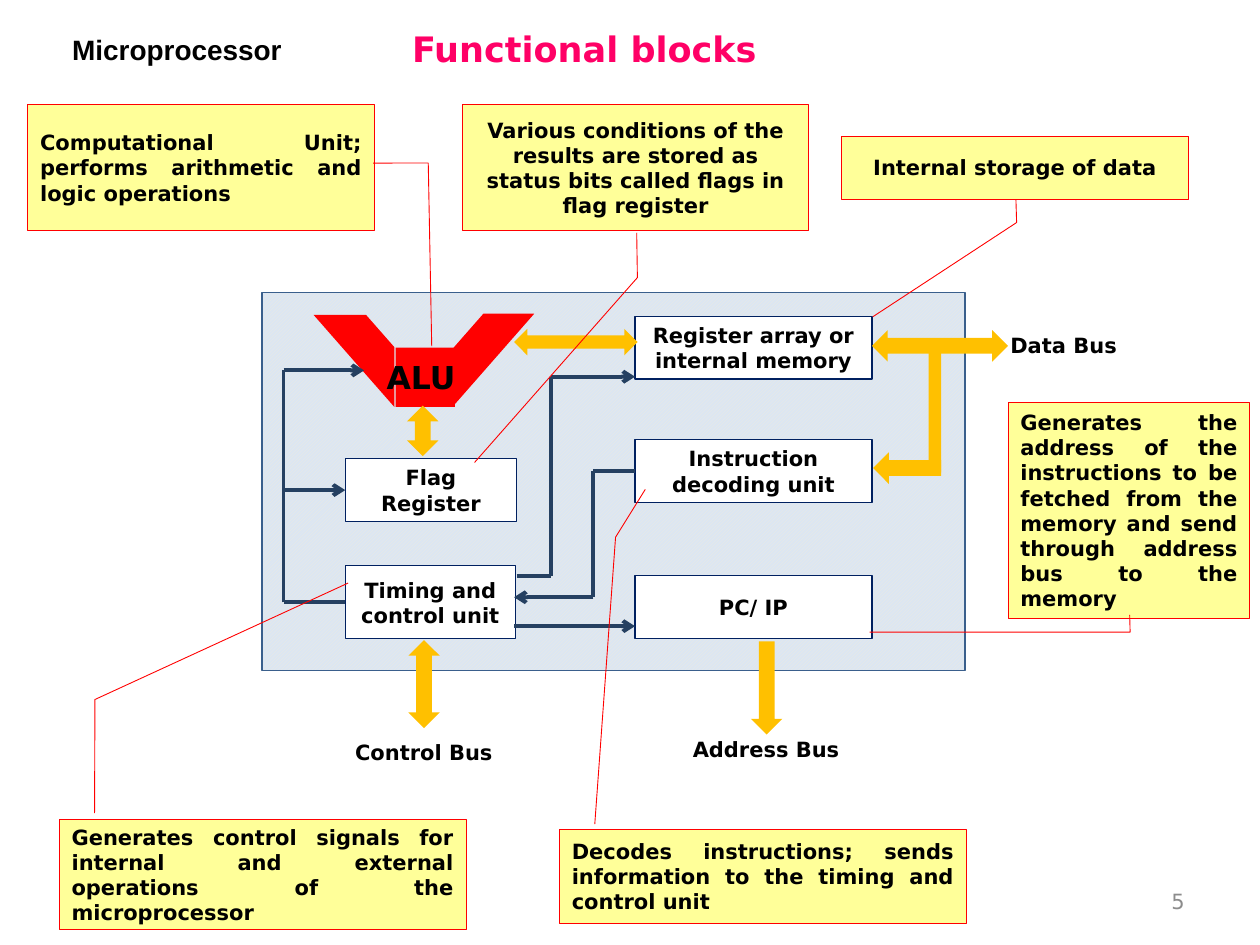
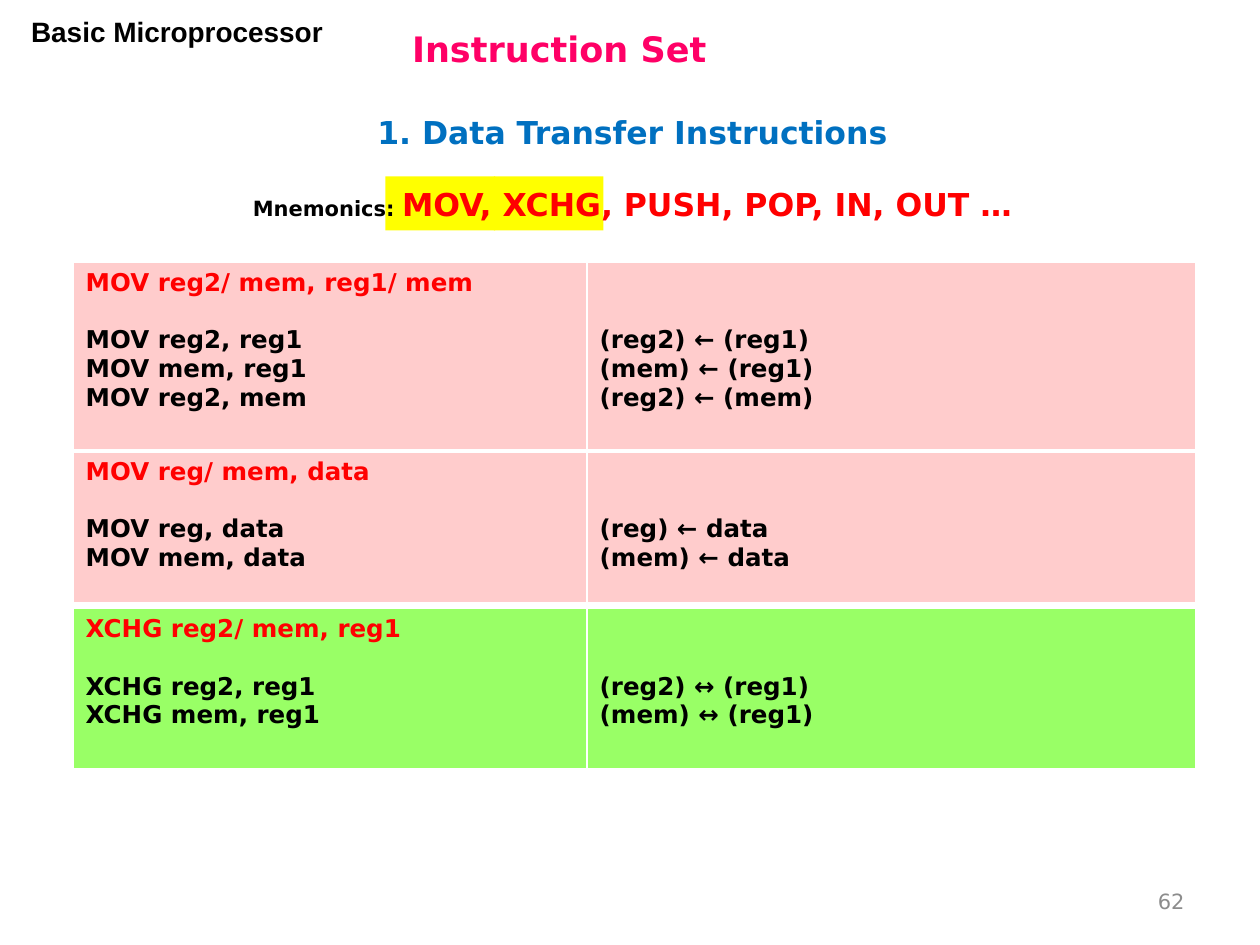
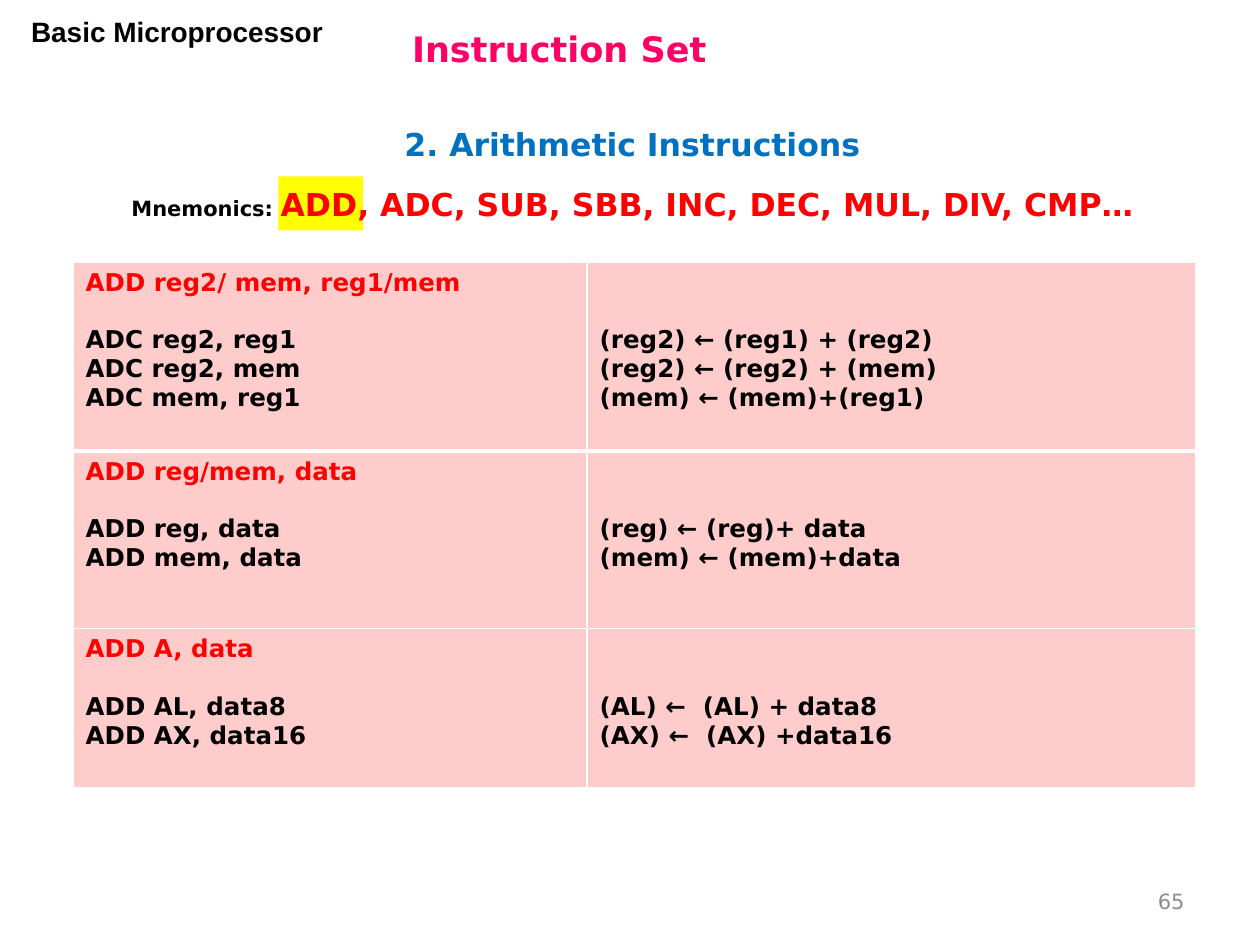
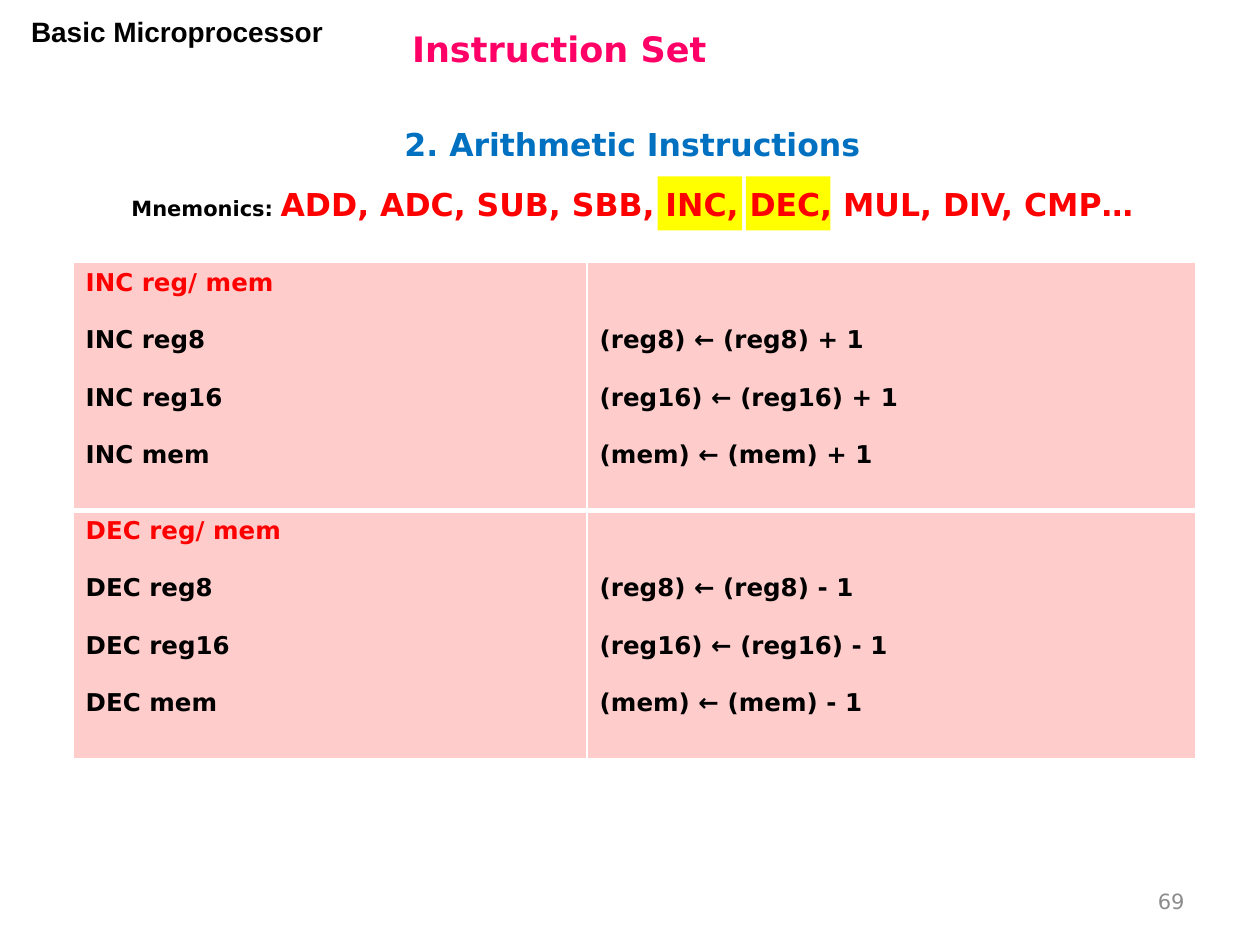
from lxml import etree
from pptx import Presentation, util as u
from pptx.dml.color import RGBColor
from pptx.enum import dml, shapes, text
from pptx.oxml.ns import qn

COLORS = {
    "pink": "FF0066", "blue": "0070C0", "red": "FF0000", "black": "000000",
    "grey": "8C8C8C", "white": "FFFFFF", "navy": "002060", "steel": "254061",
    "frame": "3A5F8C", "ice": "DCE6F2", "sand": "EEECE1", "amber": "FFC000",
    "yellow": "FFFF00", "note": "FFFF99", "rose": "FFCCCC", "lime": "99FF66",
}
RGB = {name: RGBColor.from_string(value) for name, value in COLORS.items()}
SANS = "DejaVu Sans"
STYLES = {
    "title": {"name": SANS, "size": u.Pt(20), "bold": True, "color": "pink"},
    "topic": {"name": "Arial", "size": u.Pt(16), "bold": True, "color": "black"},
    "section": {"name": SANS, "size": u.Pt(18), "bold": True, "color": "blue"},
    "label": {"name": SANS, "size": u.Pt(12), "bold": True, "color": "black"},
    "alu": {"name": SANS, "size": u.Pt(18), "bold": True, "color": "black"},
    "mnemonic": {"name": SANS, "size": u.Pt(18), "bold": True, "color": "red"},
    "syntax": {"name": SANS, "size": u.Pt(14), "bold": True, "color": "red"},
    "code": {"name": SANS, "size": u.Pt(14), "bold": True, "color": "black"},
    "number": {"name": SANS, "size": u.Pt(12), "bold": False, "color": "grey"},
}
SHAPE = shapes.MSO_SHAPE
ALIGN = text.PP_ALIGN
ANCHOR = text.MSO_ANCHOR
LINE_GAP = u.Pt(16.4)  # one empty line of 14 point text


def add_run(paragraph, words, style):
    """Add a run and set its font from a style."""
    run = paragraph.add_run()
    run.text = words
    for name, value in STYLES[style].items():
        if name == "color":
            run.font.color.rgb = RGB[value]
        else:
            setattr(run.font, name, value)


def add_box(parent, kind, box, fill=None, line=None, width=0.75, runs=(),
            align=ALIGN.CENTER, anchor=ANCHOR.MIDDLE, wrap=True):
    """Add a preset shape, or a text box when kind is None."""
    lengths = [u.Inches(value) for value in box]
    if kind is None:
        shape = parent.add_textbox(*lengths)
    else:
        shape = parent.add_shape(kind, *lengths)
        shape.shadow.inherit = False
        shape.fill.solid()
        shape.fill.fore_color.rgb = RGB[fill]
        if line:
            shape.line.color.rgb = RGB[line]
            shape.line.width = u.Pt(width)
        else:
            shape.line.fill.background()
    if runs:
        frame = shape.text_frame
        frame.word_wrap = wrap
        frame.vertical_anchor = anchor
        frame.paragraphs[0].alignment = align
        for words, style in runs:
            add_run(frame.paragraphs[0], words, style)
    return shape


presentation = Presentation()
presentation.slide_width = u.Inches(10)
presentation.slide_height = u.Inches(7.5)

# Content of the instruction slides
ARITHMETIC = "ADD, ADC, SUB, SBB, INC, DEC, MUL, DIV, CMP…"
INSTRUCTION_SLIDES = [
    {
        "number": "62", "section": "1. Data Transfer Instructions", "section_top": 0.83,
        "mnemonics": "MOV, XCHG, PUSH, POP, IN, OUT …",
        "highlights": [(3.92, 0.87), (3.06, 0.87)], "spread": False,
        "tables": [
            (2.08, "rose", [
                (1.5, "MOV reg2/ mem, reg1/ mem", [
                    ("MOV reg2, reg1", "(reg2) ← (reg1)"),
                    ("MOV mem, reg1", "(mem) ← (reg1)"),
                    ("MOV reg2, mem", "(reg2) ← (mem)")]),
                (1.2, "MOV reg/ mem, data", [
                    ("MOV reg, data", "(reg) ← data"),
                    ("MOV mem, data", "(mem) ← data")])]),
            (4.83, "lime", [
                (1.28, "XCHG reg2/ mem, reg1", [
                    ("XCHG reg2, reg1", "(reg2) ↔ (reg1)"),
                    ("XCHG mem, reg1", "(mem) ↔ (reg1)")])]),
        ],
    },
    {
        "number": "65", "section": "2. Arithmetic Instructions", "section_top": 0.93,
        "mnemonics": ARITHMETIC, "highlights": [(2.21, 0.67)], "spread": False,
        "tables": [
            (2.08, "rose", [
                (1.5, "ADD reg2/ mem, reg1/mem", [
                    ("ADC reg2, reg1", "(reg2) ← (reg1) + (reg2)"),
                    ("ADC reg2, mem", "(reg2) ← (reg2) + (mem)"),
                    ("ADC mem, reg1", "(mem) ← (mem)+(reg1)")]),
                (1.41, "ADD reg/mem, data", [
                    ("ADD reg, data", "(reg) ← (reg)+ data"),
                    ("ADD mem, data", "(mem) ← (mem)+data")]),
                (1.26, "ADD A, data", [
                    ("ADD AL, data8", "(AL) ←  (AL) + data8"),
                    ("ADD AX, data16", "(AX) ←  (AX) +data16")])]),
        ],
    },
    {
        "number": "69", "section": "2. Arithmetic Instructions", "section_top": 0.93,
        "mnemonics": ARITHMETIC, "highlights": [(5.92, 0.67), (5.22, 0.67)], "spread": True,
        "tables": [
            (2.08, "rose", [
                (1.97, f"{name} reg/ mem", [
                    (f"{name} {operand}", f"({operand}) ← ({operand}) {sign} 1")
                    for operand in ("reg8", "reg16", "mem")])
                for name, sign in (("INC", "+"), ("DEC", "-"))]),
        ],
    },
]

# Shared header and slide number
HEADERS = [("Functional blocks", "Microprocessor", 0.21, "5")]
HEADERS += [("Instruction Set", "Basic Microprocessor", 0.07, content["number"])
            for content in INSTRUCTION_SLIDES]
for heading, topic, topic_top, number in HEADERS:
    slide = presentation.slides.add_slide(presentation.slide_layouts[5])
    title = slide.shapes.title
    for name, value in {"left": 3.17, "top": 0.12, "width": 6.58, "height": 0.53}.items():
        setattr(title, name, u.Inches(value))
    title.text_frame.vertical_anchor = ANCHOR.MIDDLE
    title.text_frame.paragraphs[0].alignment = ALIGN.LEFT
    add_run(title.text_frame.paragraphs[0], heading, "title")
    add_box(slide.shapes, None, (0.07, topic_top, 2.67, 0.37),
            runs=[(topic, "topic")], anchor=ANCHOR.TOP)
    add_box(slide.shapes, None, (7.17, 6.95, 2.33, 0.4),
            runs=[(number, "number")], align=ALIGN.RIGHT)

# Block diagram: chip and its units
slide = presentation.slides[0]
diagram = slide.shapes.add_group_shape().shapes
chip = add_box(diagram, SHAPE.RECTANGLE, (2.08, 2.32, 5.58, 3), "ice", "frame")
chip.fill.patterned()
chip.fill.pattern = dml.MSO_PATTERN.LIGHT_UPWARD_DIAGONAL
chip.fill.fore_color.rgb = RGB["sand"]
chip.fill.back_color.rgb = RGB["ice"]

units = {}
for name, box in [
    ("Flag Register", (2.74, 3.64, 1.36, 0.5)),
    ("Timing and control unit", (2.74, 4.49, 1.35, 0.58)),
    ("Register array or internal memory", (5.04, 2.51, 1.88, 0.5)),
    ("Instruction decoding unit", (5.04, 3.49, 1.88, 0.5)),
    ("PC/ IP", (5.04, 4.57, 1.88, 0.5)),
]:
    units[name] = add_box(diagram, SHAPE.RECTANGLE, box, "white", "navy", runs=[(name, "label")])

# ALU
right_arm = add_box(diagram, SHAPE.DIAGONAL_STRIPE, (3.6, 2.49, 0.64, 0.73), "red")
right_arm.adjustments[0] = 0.37
left_arm = add_box(diagram, SHAPE.DIAGONAL_STRIPE, (2.49, 2.5, 0.64, 0.73), "red")
left_arm.adjustments[0] = 0.35
left_arm.element.spPr.xfrm.set("flipH", "1")
add_box(diagram, SHAPE.RECTANGLE, (3.14, 2.76, 0.47, 0.47), "red")

# Buses
for kind, box in [
    (SHAPE.UP_DOWN_ARROW, (3.23, 3.22, 0.25, 0.4)),
    (SHAPE.UP_DOWN_ARROW, (3.24, 5.08, 0.25, 0.7)),
    (SHAPE.LEFT_RIGHT_ARROW, (6.92, 2.62, 1.08, 0.25)),
    (SHAPE.LEFT_ARROW, (6.93, 3.59, 0.54, 0.25)),
    (SHAPE.RECTANGLE, (7.37, 2.79, 0.1, 0.96)),
    (SHAPE.DOWN_ARROW, (5.96, 5.09, 0.25, 0.74)),
    (SHAPE.LEFT_RIGHT_ARROW, (4.08, 2.61, 0.98, 0.21)),
]:
    add_box(diagram, kind, box, "amber")
for words, style, box in [
    ("ALU", "alu", (2.97, 2.79, 0.76, 0.4)),
    ("Control Bus", "label", (2.72, 5.82, 1.3, 0.3)),
    ("Address Bus", "label", (5.4, 5.8, 1.37, 0.3)),
    ("Data Bus", "label", (7.92, 2.59, 1.05, 0.3)),
]:
    add_box(diagram, None, box, runs=[(words, style)], align=ALIGN.LEFT,
            anchor=ANCHOR.TOP, wrap=False)

# Signal paths: points, unit joined at the start, unit joined at the end
for points, start_unit, end_unit in [
    ([(4.1, 4.57), (4.37, 4.57), (4.37, 2.99), (5.04, 2.99)], None, None),
    ([(5.04, 3.74), (4.71, 3.74), (4.71, 4.74), (4.08, 4.74)],
     "Instruction decoding unit", None),
    ([(4.08, 4.97), (5.04, 4.97)], None, None),
    ([(2.74, 4.78), (2.25, 4.78), (2.25, 2.94), (2.89, 2.94)],
     "Timing and control unit", None),
    ([(2.25, 3.89), (2.74, 3.89)], None, "Flag Register"),
]:
    last = len(points) - 2
    for index, (start, end) in enumerate(zip(points, points[1:])):
        connector = diagram.add_connector(
            shapes.MSO_CONNECTOR.STRAIGHT, *[u.Inches(value) for value in start + end])
        connector.line.color.rgb = RGB["steel"]
        connector.line.width = u.Pt(2.25)
        if index == last:
            etree.SubElement(connector.line._get_or_add_ln(), qn("a:tailEnd"), type="arrow")
        etree.SubElement(connector.element.spPr, qn("a:effectLst"))
        if start_unit and index == 0:
            connector.begin_connect(units[start_unit], 1)
        if end_unit and index == last:
            connector.end_connect(units[end_unit], 1)

# Callouts
for words, box, align, adjustments in [
    ("Computational Unit; performs arithmetic and logic operations",
     (0.22, 0.83, 2.75, 1), ALIGN.JUSTIFY, (0.465, 0.997, 0.464, 1.156, 1.918, 1.166)),
    ("Various conditions of the results are stored as status bits called flags in flag register",
     (3.67, 0.83, 2.75, 1), ALIGN.CENTER, (1.018, 0.503, 1.374, 0.505, 2.841, 0.035)),
    ("Internal storage of data",
     (6.68, 1.08, 2.75, 0.5), ALIGN.CENTER, (1.018, 0.503, 1.374, 0.505, 2.869, 0.09)),
    ("Generates the address of the instructions to be fetched from the memory "
     "and send through address bus to the memory",
     (8, 3.19, 1.92, 1.72), ALIGN.JUSTIFY, (0.983, 0.503, 1.062, 0.505, 1.062, -0.572)),
    ("Decodes instructions; sends information to the timing and control unit",
     (4.44, 6.58, 3.23, 0.75), ALIGN.JUSTIFY, (-0.052, 0.087, -3.089, 0.138, -3.595, 0.211)),
    ("Generates control signals for internal and external operations of the microprocessor",
     (0.47, 6.5, 3.23, 0.88), ALIGN.JUSTIFY, (-0.052, 0.087, -1.078, 0.088, -2.128, 0.71)),
]:
    callout = add_box(slide.shapes, SHAPE.LINE_CALLOUT_2, box, "note", "red", 0.5,
                      [(words, "label")], align)
    for index, value in enumerate(adjustments):
        callout.adjustments[index] = value

# Instruction slides
for slide, content in zip(list(presentation.slides)[1:], INSTRUCTION_SLIDES):
    for left, width in content["highlights"]:
        add_box(slide.shapes, SHAPE.RECTANGLE, (left, 1.4, width, 0.43), "yellow")
    add_box(slide.shapes, None, (0.29, content["section_top"], 9.46, 0.43),
            runs=[(content["section"], "section")])
    add_box(slide.shapes, None, (0.29, 1.42, 9.46, 0.4), anchor=ANCHOR.TOP,
            runs=[("Mnemonics: ", "label"), (content["mnemonics"], "mnemonic")])

    for top, fill, rows in content["tables"]:
        table = slide.shapes.add_table(
            len(rows), 2, u.Inches(0.58), u.Inches(top), u.Inches(8.91),
            u.Inches(sum(row[0] for row in rows))).table
        table.first_row = table.horz_banding = False
        for column, width in zip(table.columns, (4.08, 4.83)):
            column.width = u.Inches(width)
        for row_index, (height, syntax, operations) in enumerate(rows):
            table.rows[row_index].height = u.Inches(height)
            codes, effects = zip(*operations)
            for column_index, lines in enumerate(((syntax,) + codes, effects)):
                cell = table.cell(row_index, column_index)
                if column_index == 1:
                    cell.margin_top = u.Inches(0.05) + 2 * LINE_GAP
                for line_index, words in enumerate(lines):
                    frame = cell.text_frame
                    paragraph = frame.add_paragraph() if line_index else frame.paragraphs[0]
                    is_syntax = column_index == 0 and line_index == 0
                    after_syntax = column_index == 0 and line_index == 1
                    if line_index and (content["spread"] or after_syntax):
                        paragraph.space_before = LINE_GAP
                    add_run(paragraph, words, "syntax" if is_syntax else "code")
                # White borders, thick below the first row
                properties = cell._tc.get_or_add_tcPr()
                for side in "LRTB":
                    points = 3 if side == "B" and row_index == 0 else 1
                    border = etree.SubElement(properties, qn(f"a:ln{side}"), w=str(u.Pt(points)))
                    solid = etree.SubElement(border, qn("a:solidFill"))
                    etree.SubElement(solid, qn("a:srgbClr"), val=COLORS["white"])
                cell.fill.solid()
                cell.fill.fore_color.rgb = RGB[fill]

presentation.save("out.pptx")
